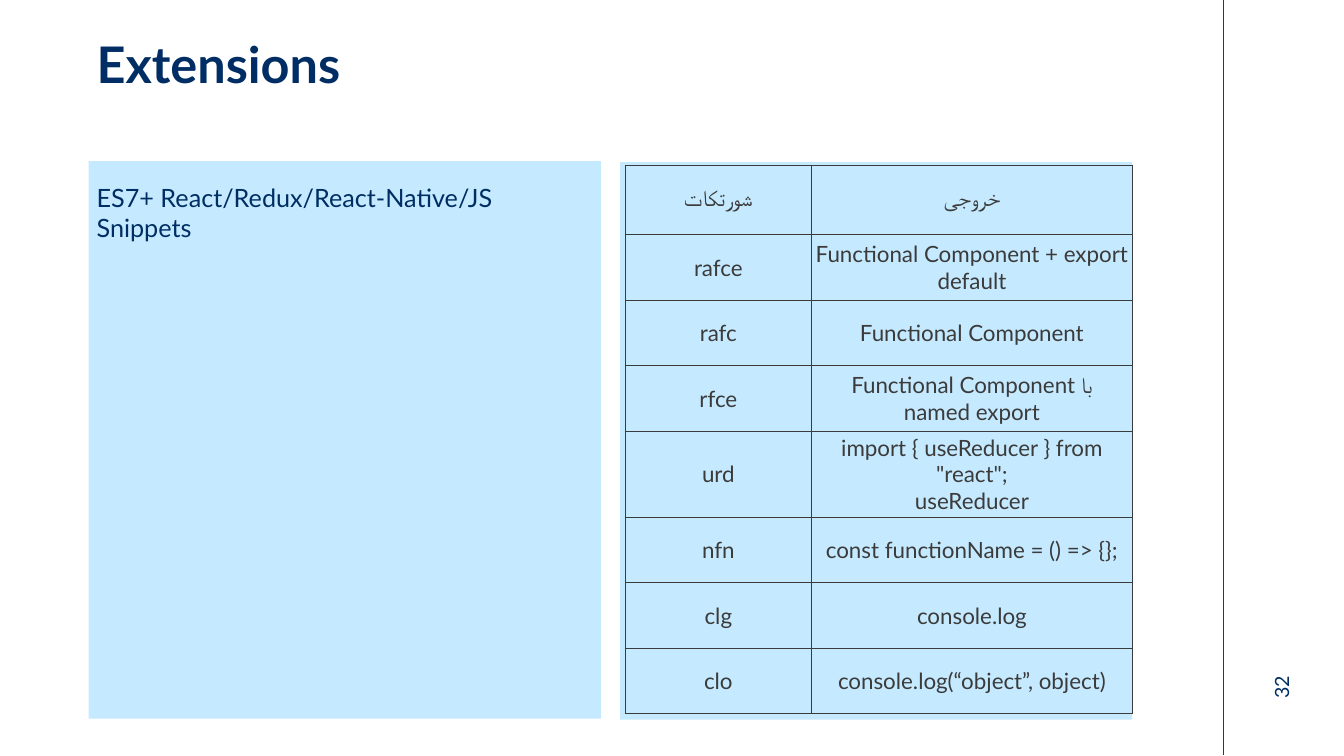
from lxml.etree import SubElement
from pptx import Presentation
from pptx.dml.color import RGBColor
from pptx.enum.shapes import MSO_CONNECTOR, MSO_SHAPE
from pptx.enum.text import MSO_ANCHOR, PP_ALIGN
from pptx.oxml.ns import qn
from pptx.util import Inches, Pt

COLORS = {"navy": "002E64", "rule": "00476E", "panel": "C5EAFF", "ink": "3B3B3B"}
FONT = "Lato"
ROWS = [
    ("شورتکات", "خروجی"),
    ("rafce", "Functional Component + export default"),
    ("rafc", "Functional Component"),
    ("rfce", "Functional Component با named export"),
    ("urd", 'import { useReducer } from "react";\nuseReducer'),
    ("nfn", "const functionName = () => {};"),
    ("clg", "console.log"),
    ("clo", "console.log(“object”, object)"),
]
WIDTHS = [1.85, 3.18]
HEIGHTS = [0.69, 0.65, 0.65, 0.65, 0.85, 0.65, 0.65, 0.65]


def color(name):
    return RGBColor.from_string(COLORS[name])


def add_run(para, text, size, tint, bold=False):
    run = para.add_run()
    run.text = text
    font = run.font
    font.name, font.size, font.bold = FONT, Pt(size), bold
    font.color.rgb = color(tint)


def add_rule(slide, x, bottom):
    line = slide.shapes.add_connector(
        MSO_CONNECTOR.STRAIGHT, Inches(x), 0, Inches(x), Inches(bottom))
    line.line.color.rgb = color("rule")
    line.line.width = Pt(0.5)
    SubElement(line._element.spPr, qn("a:effectLst"))


def add_panel(slide, *box):
    panel = slide.shapes.add_shape(MSO_SHAPE.RECTANGLE, *map(Inches, box))
    panel.shadow.inherit = False
    panel.fill.solid()
    panel.fill.fore_color.rgb = color("panel")
    panel.line.fill.background()


def add_text(slide, box, text, size, bold=False):
    shape = slide.shapes.add_textbox(*map(Inches, box))
    frame = shape.text_frame
    frame.word_wrap = True
    add_run(frame.paragraphs[0], text, size, "navy", bold)
    return shape


def add_borders(cell):
    props = cell._tc.get_or_add_tcPr()
    for side in ("lnL", "lnR", "lnT", "lnB"):
        edge = SubElement(props, qn(f"a:{side}"), w=str(Pt(1)))
        fill = SubElement(edge, qn("a:solidFill"))
        SubElement(fill, qn("a:srgbClr"), val=COLORS["ink"])


def fill_cell(cell, text):
    add_borders(cell)
    cell.fill.background()
    cell.vertical_anchor = MSO_ANCHOR.MIDDLE
    cell.margin_left = cell.margin_right = Inches(0.04)
    cell.margin_top = cell.margin_bottom = Inches(0.02)
    para = cell.text_frame.paragraphs[0]
    para.alignment = PP_ALIGN.CENTER
    for i, line in enumerate(text.split("\n")):
        if i:
            para.add_line_break()
        add_run(para, line, 16, "ink")


def add_grid(slide, left, top):
    table = slide.shapes.add_table(
        len(ROWS), len(WIDTHS), Inches(left), Inches(top),
        Inches(sum(WIDTHS)), Inches(sum(HEIGHTS))).table
    table.first_row = table.horz_banding = False
    for col, width in zip(table.columns, WIDTHS):
        col.width = Inches(width)
    for row, height, texts in zip(table.rows, HEIGHTS, ROWS):
        row.height = Inches(height)
        for cell, text in zip(row.cells, texts):
            fill_cell(cell, text)


def main():
    deck = Presentation()
    deck.slide_width, deck.slide_height = Inches(13.33), Inches(7.5)
    slide = deck.slides.add_slide(deck.slide_layouts[6])
    add_rule(slide, 12.13, 7.49)
    add_panel(slide, 6.15, 1.61, 5.08, 5.53)
    add_panel(slide, 0.88, 1.6, 5.08, 5.53)
    add_text(slide, (0.86, 0.28, 10.36, 1.09), "Extensions", 36, bold=True)
    add_text(slide, (0.86, 1.76, 5.02, 5.14),
             "ES7+ React/Redux/React-Native/JS Snippets", 18)
    add_grid(slide, 6.2, 1.64)
    number = add_text(slide, (12.33, 6.12, 1.17, 0.65), "32", 14)
    number.rotation = 270
    number.text_frame.margin_top = 0
    deck.save("out.pptx")


if __name__ == "__main__":
    main()
